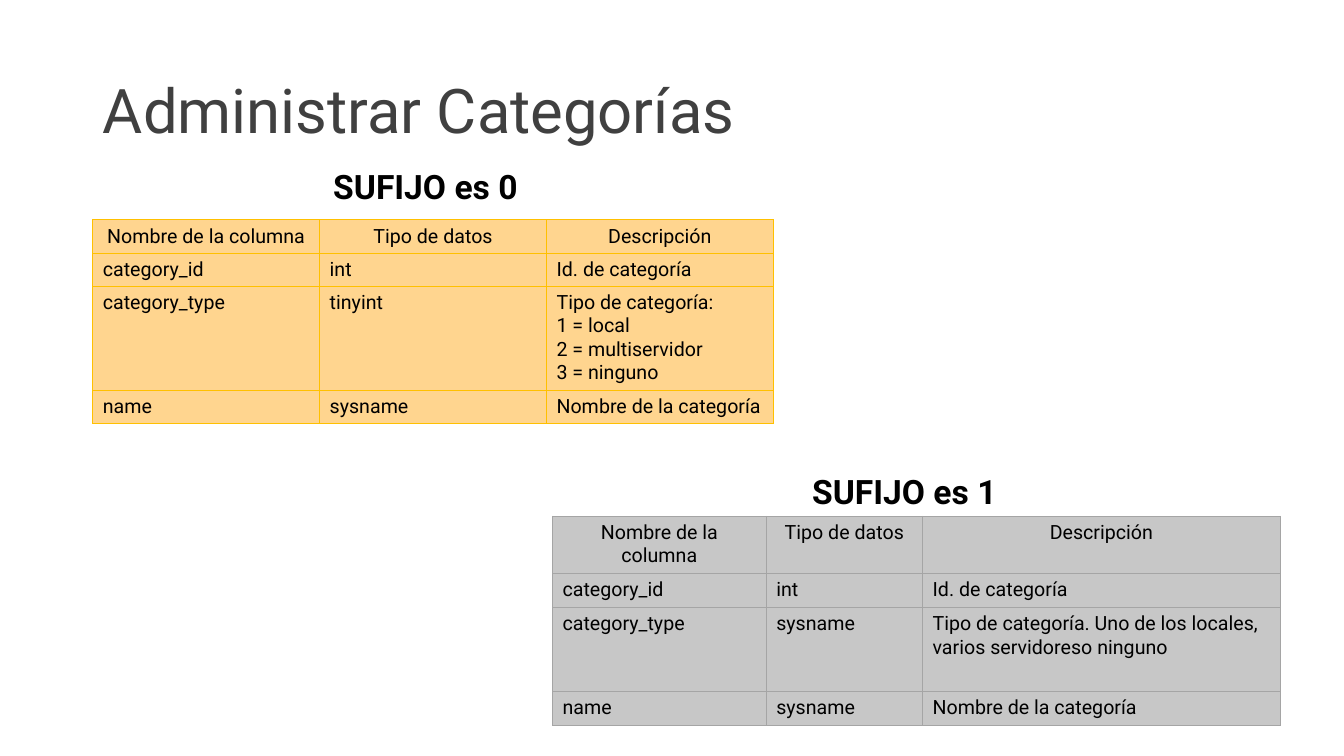
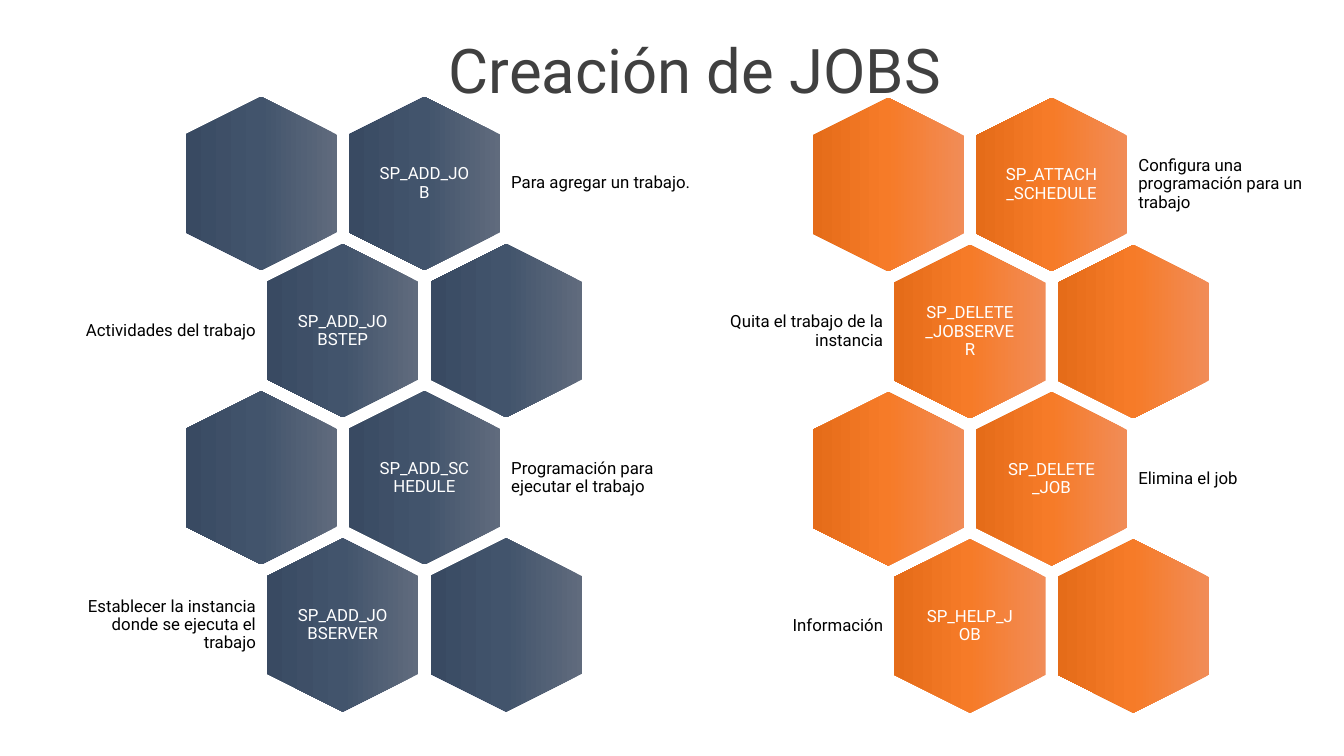
import copy
from dataclasses import dataclass

import lxml.etree
import pptx
import pptx.dml.color
import pptx.enum.shapes
import pptx.enum.text
import pptx.oxml.ns
import pptx.util

ALIGN = pptx.enum.text.PP_ALIGN
MIDDLE = pptx.enum.text.MSO_ANCHOR.MIDDLE
qn = pptx.oxml.ns.qn


@dataclass(frozen=True)
class Theme:
    font: str = "Roboto"
    title_color: str = "404040"
    dark: str = "000000"
    light: str = "FFFFFF"
    title_size: int = 44
    heading_size: int = 24
    table_size: int = 14
    label_size: int = 12
    title_spacing: float = 0.9
    border_width: float = 0.5
    inset: float = 0.05
    amber: tuple = ("FFD58F", "FFC000")
    gray: tuple = ("C7C7C7", "A5A5A5")
    navy: tuple = ("606B7D", "42546C", "394A62")
    orange: tuple = ("F18C57", "F67B28", "E56C19")


THEME = Theme()
SLIDE_SIZE = (13.33, 7.5)

COLUMN_NAMES = ("Nombre de la columna", "Tipo de datos", "Descripción")
TABLES = [
    {
        "heading": "SUFIJO es 0",
        "heading_at": (3.08, 1.6, 2.28, 0.5),
        "origin": (0.92, 2.18),
        "columns": (2.25, 2.25, 2.25),
        "rows": (0.33, 0.33, 1.03, 0.33),
        "colors": THEME.amber,
        "cells": [
            COLUMN_NAMES,
            ("category_id", "int", "Id. de categoría"),
            ("category_type", "tinyint",
             "Tipo de categoría:\v1 = local\v2 = multiservidor\v3 = ninguno"),
            ("name", "sysname", "Nombre de la categoría"),
        ],
    },
    {
        "heading": "SUFIJO es 1",
        "heading_at": (7.83, 4.62, 2.28, 0.5),
        "origin": (5.48, 5.12),
        "columns": (2.12, 1.55, 3.55),
        "rows": (0.34, 0.34, 0.83, 0.34),
        "colors": THEME.gray,
        "cells": [
            COLUMN_NAMES,
            ("category_id", "int", "Id. de categoría"),
            ("category_type", "sysname",
             "Tipo de categoría. Uno de los locales, varios servidoreso ninguno"),
            ("name", "sysname", "Nombre de la categoría"),
        ],
    },
]

HONEYCOMBS = [
    {
        "origin": (1.73, 1.07),
        "gradient": THEME.navy,
        "jobs": [
            ("SP_ADD_JOB", "Para agregar un trabajo."),
            ("SP_ADD_JOBSTEP", "Actividades del trabajo"),
            ("SP_ADD_SCHEDULE", "Programación para ejecutar el trabajo"),
            ("SP_ADD_JOBSERVER", "Establecer la instancia donde se ejecuta el trabajo"),
        ],
    },
    {
        "origin": (7.95, 1.08),
        "gradient": THEME.orange,
        "jobs": [
            ("SP_ATTACH_SCHEDULE", "Configura una programación para un trabajo"),
            ("SP_DELETE_JOBSERVER", "Quita el trabajo de la instancia"),
            ("SP_DELETE_JOB", "Elimina el job"),
            ("SP_HELP_JOB", "Información"),
        ],
    },
]
HEXAGON = (1.72, 1.5)
PITCH = (1.62, 1.46)
NAME_SIZE = (1.03, 1.19)
LABEL_HEIGHT = 1.03
LABEL_WIDTHS = (1.92, 1.86)
LABEL_OVERLAP = 0.05


def inches(values):
    return [pptx.util.Inches(value) for value in values]


def rgb(value):
    return pptx.dml.color.RGBColor.from_string(value)


def apply(target, values):
    for name, value in values.items():
        setattr(target, name, value)


def write(frame, text, size, color, align=ALIGN.LEFT, bold=False, spacing=None):
    frame.text = text
    for para in frame.paragraphs:
        apply(para, {"alignment": align, "line_spacing": spacing})
        for span in para.runs:
            apply(span.font, {"name": THEME.font, "size": pptx.util.Pt(size), "bold": bold})
            span.font.color.rgb = rgb(color)


def add_page(deck, title, at):
    page = deck.slides.add_slide(deck.slide_layouts[5])
    box = page.shapes.title
    apply(box, dict(zip(("left", "top", "width", "height"), inches(at))))
    box.text_frame.vertical_anchor = MIDDLE
    write(box.text_frame, title, THEME.title_size, THEME.title_color,
          spacing=THEME.title_spacing)
    return page


def add_text(shapes, at, text, size, color, inset=None, **style):
    frame = shapes.add_textbox(*inches(at)).text_frame
    apply(frame, {"word_wrap": True})
    if inset is not None:
        margin = pptx.util.Inches(inset)
        sides = ("margin_left", "margin_top", "margin_right", "margin_bottom")
        apply(frame, {"vertical_anchor": MIDDLE, **dict.fromkeys(sides, margin)})
    write(frame, text, size, color, **style)


def set_borders(cell, color):
    properties = cell._tc.get_or_add_tcPr()
    for index, side in enumerate(("a:lnL", "a:lnR", "a:lnT", "a:lnB")):
        line = lxml.etree.Element(qn(side), w=str(pptx.util.Pt(THEME.border_width)))
        fill = lxml.etree.SubElement(line, qn("a:solidFill"))
        lxml.etree.SubElement(fill, qn("a:srgbClr"), val=color)
        properties.insert(index, line)


def add_category_table(page, data):
    columns, rows = data["columns"], data["rows"]
    fill, border = data["colors"]
    table = page.shapes.add_table(
        len(rows), len(columns), *inches((*data["origin"], sum(columns), sum(rows)))
    ).table
    apply(table, {"first_row": False, "horz_banding": False})
    for column, width in zip(table.columns, inches(columns)):
        column.width = width
    for row_index, height in enumerate(inches(rows)):
        table.rows[row_index].height = height
        for column_index, text in enumerate(data["cells"][row_index]):
            cell = table.cell(row_index, column_index)
            cell.fill.solid()
            cell.fill.fore_color.rgb = rgb(fill)
            set_borders(cell, border)
            write(cell.text_frame, text, THEME.table_size, THEME.dark,
                  align=ALIGN.LEFT if row_index else ALIGN.CENTER)
    add_text(page.shapes, data["heading_at"], data["heading"], THEME.heading_size,
             THEME.dark, align=ALIGN.CENTER, bold=True)


def add_hexagon(shapes, left, top, colors):
    shape = shapes.add_shape(pptx.enum.shapes.MSO_SHAPE.HEXAGON,
                             *inches((left, top, *HEXAGON)))
    apply(shape, {"rotation": 90})
    shape.shadow.inherit = False
    shape.line.fill.background()
    shape.fill.gradient()
    shape.fill.gradient_angle = 270
    stop_list = shape._element.spPr.find(".//" + qn("a:gsLst"))
    stop_list.append(copy.deepcopy(stop_list[-1]))
    for index, (stop, color) in enumerate(zip(shape.fill.gradient_stops, colors)):
        stop.position = index / (len(colors) - 1)
        stop.color.rgb = rgb(color)


def add_honeycomb(page, data):
    shapes = page.shapes.add_group_shape().shapes
    width, height = HEXAGON
    for row, (name, label) in enumerate(data["jobs"]):
        odd = row % 2
        left = data["origin"][0] + odd * PITCH[0] / 2
        top = data["origin"][1] + row * PITCH[1]
        for column in range(2):
            add_hexagon(shapes, left + column * PITCH[0], top, data["gradient"])

        named_left = left + (1 - odd) * PITCH[0]
        middle = top + height / 2
        name_at = (named_left + (width - NAME_SIZE[0]) / 2,
                   middle - NAME_SIZE[1] / 2, *NAME_SIZE)
        label_width = LABEL_WIDTHS[odd]
        label_left = (named_left + LABEL_OVERLAP - label_width if odd
                      else named_left + width - LABEL_OVERLAP)
        label_at = (label_left, middle - LABEL_HEIGHT / 2, label_width, LABEL_HEIGHT)
        for at, text, color, align in (
            (name_at, name, THEME.light, ALIGN.CENTER),
            (label_at, label, THEME.dark, ALIGN.RIGHT if odd else ALIGN.LEFT),
        ):
            add_text(shapes, at, text, THEME.label_size, color, inset=THEME.inset,
                     align=align, spacing=THEME.title_spacing)


def main():
    deck = pptx.Presentation()
    apply(deck, dict(zip(("slide_width", "slide_height"), inches(SLIDE_SIZE))))

    page = add_page(deck, "Administrar Categorías", (0.92, 0.4, 11.5, 1.45))
    for data in TABLES:
        add_category_table(page, data)

    page = add_page(deck, "Creación de JOBS", (4.35, 0, 5.52, 1.45))
    for data in HONEYCOMBS:
        add_honeycomb(page, data)

    deck.save("out.pptx")


if __name__ == "__main__":
    main()
